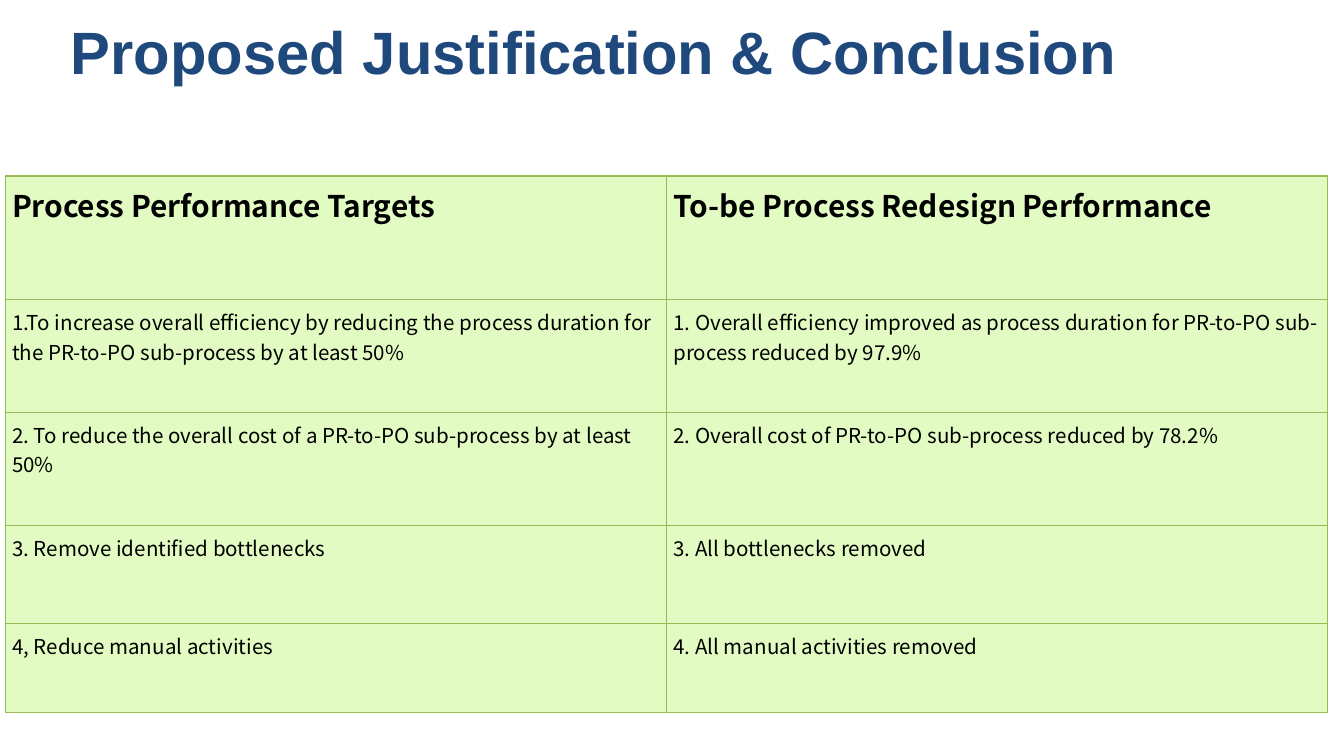
from lxml import etree
from pptx import Presentation
from pptx import util as u
from pptx.dml.color import RGBColor
from pptx.oxml.ns import qn

TITLE = "Proposed Justification & Conclusion"
COMPARISON = [
    ("Process Performance Targets", "To-be Process Redesign Performance"),
    ("1.To increase overall efficiency by reducing the process duration for the PR-to-PO sub-process by at least 50%",
     "1. Overall efficiency improved as process duration for PR-to-PO sub-process reduced by 97.9%"),
    ("2. To reduce the overall cost of a PR-to-PO sub-process by at least 50%",
     "2. Overall cost of PR-to-PO sub-process reduced by 78.2%"),
    ("3. Remove identified bottlenecks", "3. All bottlenecks removed"),
    ("4, Reduce manual activities", "4. All manual activities removed"),
]
SLIDE_WIDTH = u.Inches(10)
SLIDE_HEIGHT = SLIDE_WIDTH * 9 // 16
ROW_HEIGHTS = [0.92, 0.84, 0.84, 0.73, 0.66]
COLUMN_WIDTH = 4.92
MARGIN = 0.05
THEME = {
    "title": {"name": "Arial", "size": 32, "bold": True, "color": "1F497D"},
    "header": {"name": "Noto Sans CJK KR", "size": 16, "bold": True, "color": "000000"},
    "body": {"name": "Noto Sans CJK KR", "size": 11, "bold": False, "color": "000000"},
    "fill": "E2FBC2",
    "border": "98B955",
    "border_width": 0.75,
}


def write(frame, words, style):
    frame.word_wrap = True
    run = frame.paragraphs[0].add_run()
    run.text = words
    formats = {"name": style["name"], "size": u.Pt(style["size"]), "bold": style["bold"]}
    for attribute, value in formats.items():
        setattr(run.font, attribute, value)
    run.font.color.rgb = RGBColor.from_string(style["color"])


def add_borders(cell):
    properties = cell._tc.get_or_add_tcPr()
    for position, side in enumerate(("lnL", "lnR", "lnT", "lnB")):
        border = etree.Element(qn(f"a:{side}"), w=str(u.Pt(THEME["border_width"])))
        solid = etree.SubElement(border, qn("a:solidFill"))
        etree.SubElement(solid, qn("a:srgbClr"), val=THEME["border"])
        properties.insert(position, border)


def fill_cell(cell, words, style):
    for side in ("left", "right", "top", "bottom"):
        setattr(cell, f"margin_{side}", u.Inches(MARGIN))
    write(cell.text_frame, words, style)
    cell.fill.solid()
    cell.fill.fore_color.rgb = RGBColor.from_string(THEME["fill"])
    add_borders(cell)


def main():
    deck = Presentation()
    deck.slide_width, deck.slide_height = SLIDE_WIDTH, SLIDE_HEIGHT
    slide = deck.slides.add_slide(deck.slide_layouts[6])

    title = slide.shapes.add_textbox(u.Inches(0.43), u.Inches(0.06), u.Inches(9.57), u.Inches(0.64))
    write(title.text_frame, TITLE, THEME["title"])

    columns = len(COMPARISON[0])
    comparison = slide.shapes.add_table(
        len(COMPARISON), columns, u.Inches(0.04), u.Inches(1.31),
        u.Inches(COLUMN_WIDTH * columns), u.Inches(sum(ROW_HEIGHTS))).table
    for column in comparison.columns:
        column.width = u.Inches(COLUMN_WIDTH)
    for r, (entries, height) in enumerate(zip(COMPARISON, ROW_HEIGHTS)):
        comparison.rows[r].height = u.Inches(height)
        style = THEME["body" if r else "header"]
        for c, words in enumerate(entries):
            fill_cell(comparison.cell(r, c), words, style)

    deck.save("out.pptx")


if __name__ == "__main__":
    main()
